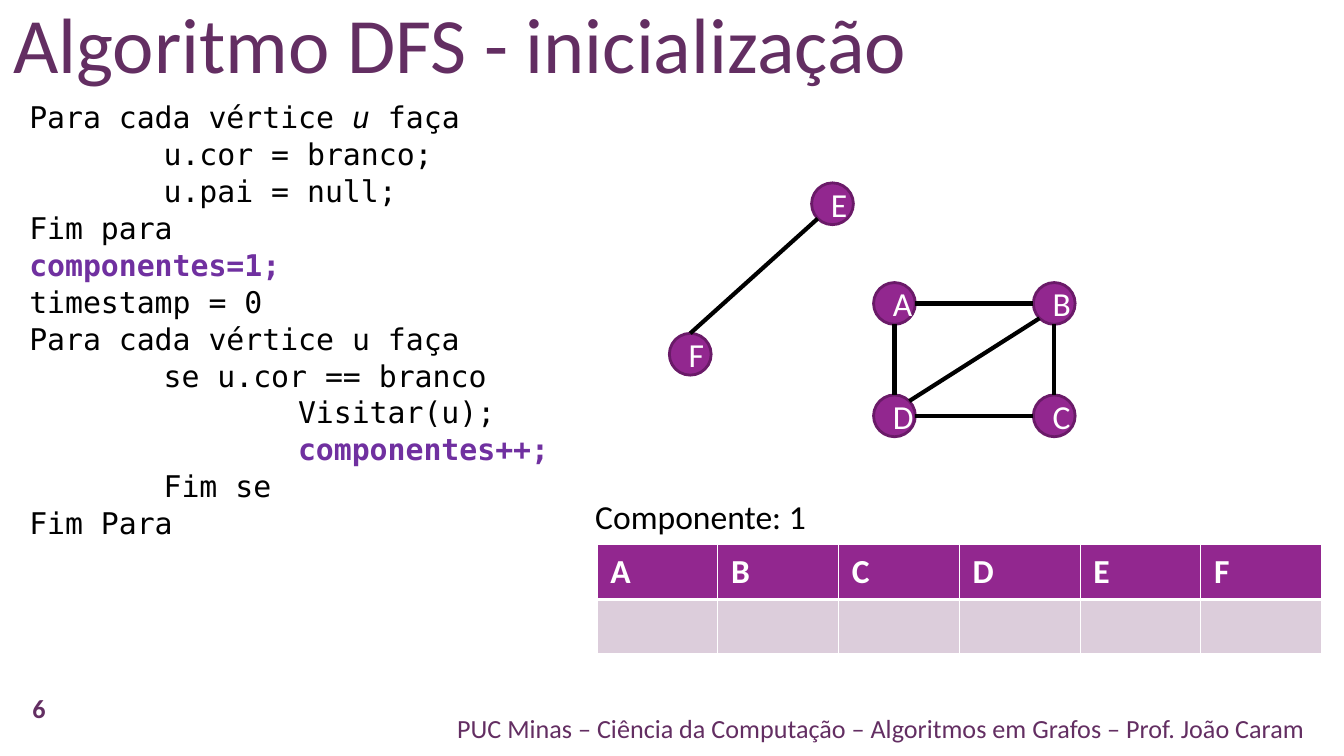
"""Build the slide on the initialisation of the DFS algorithm."""
from lxml.etree import SubElement
from pptx import Presentation
from pptx.dml.color import RGBColor
from pptx.enum.shapes import MSO_CONNECTOR, MSO_SHAPE
from pptx.enum.text import MSO_ANCHOR, PP_ALIGN
from pptx.oxml.ns import qn
from pptx.util import Pt

PURPLE = RGBColor(0x92, 0x27, 0x8F)
DARK_PURPLE = RGBColor(0x6A, 0x1A, 0x68)
PLUM = RGBColor(0x63, 0x2E, 0x62)
VIOLET = RGBColor(0x70, 0x30, 0xA0)
PALE = RGBColor(0xDC, 0xCD, 0xDB)
BLACK = RGBColor(0, 0, 0)
WHITE = RGBColor(255, 255, 255)

TITLE = {"name": "Calibri", "size": Pt(42)}
LABEL = {"name": "Calibri", "size": Pt(18)}
HEADING = {**LABEL, "bold": True}
FOOTER = {"name": "Calibri", "size": Pt(14)}
PAGE = {**FOOTER, "bold": True}
CODE = {"name": "DejaVu Sans Mono", "size": Pt(16)}
CODE_ITALIC = {**CODE, "italic": True}
CODE_BOLD = {**CODE, "bold": True}


def add_run(paragraph, words, style, color):
    run = paragraph.add_run()
    run.text = words
    for attribute, value in style.items():
        setattr(run.font, attribute, value)
    run.font.color.rgb = color


def add_frame(left, top, width, height, anchor=MSO_ANCHOR.TOP):
    box = slide.shapes.add_textbox(Pt(left), Pt(top), Pt(width), Pt(height))
    box.text_frame.word_wrap = True
    box.text_frame.vertical_anchor = anchor
    return box.text_frame


deck = Presentation()
deck.slide_width, deck.slide_height = Pt(720), Pt(405)
slide = deck.slides.add_slide(deck.slide_layouts[6])

footer = add_frame(48.2, 379.4, 658.1, 21.6, MSO_ANCHOR.MIDDLE).paragraphs[0]
footer.alignment = PP_ALIGN.RIGHT
add_run(footer, "PUC Minas – Ciência da Computação – Algoritmos em Grafos – Prof. João Caram",
        FOOTER, PLUM)

page = add_frame(0, 369.4, 41.8, 22.3, MSO_ANCHOR.MIDDLE).paragraphs[0]
page.alignment = PP_ALIGN.CENTER
page.line_spacing = 0.9
add_run(page, "6", PAGE, PLUM)

title = add_frame(0, -30.2, 663.8, 79.2, MSO_ANCHOR.BOTTOM)
title.margin_bottom = Pt(1)
add_run(title.paragraphs[0], "Algoritmo DFS - inicialização", TITLE, PLUM)

code_lines = [
    [("Para cada vértice ", CODE, BLACK), ("u", CODE_ITALIC, BLACK), (" faça", CODE, BLACK)],
    [("\tu.cor = branco;", CODE, BLACK)],
    [("\tu.pai = null;", CODE, BLACK)],
    [("Fim para", CODE, BLACK)],
    [("componentes=1;", CODE_BOLD, VIOLET)],
    [("timestamp = 0", CODE, BLACK)],
    [("Para cada vértice u faça", CODE, BLACK)],
    [("\tse u.cor == branco", CODE, BLACK)],
    [("\t\tVisitar(u);", CODE, BLACK)],
    [("\t\tcomponentes++;", CODE_BOLD, VIOLET)],
    [("\tFim se", CODE, BLACK)],
    [("Fim Para", CODE, BLACK)],
]
pseudocode = add_frame(8.6, 49, 697.7, 257)
for index, pieces in enumerate(code_lines):
    line = pseudocode.add_paragraph() if index else pseudocode.paragraphs[0]
    line.line_spacing = 1.03
    tabs = SubElement(line._p.get_or_add_pPr(), qn("a:tabLst"))
    for stop in (72, 144):
        SubElement(tabs, qn("a:tab"), pos=str(Pt(stop)), algn="l")
    for words, style, color in pieces:
        add_run(line, words, style, color)

RADIUS = 11.2
vertices = {
    "F": (369.8, 189.8), "E": (446, 109.2),
    "A": (479.2, 162.6), "D": (479.2, 222.8),
    "B": (564.8, 162.6), "C": (564.8, 222.8),
}
for name, (x, y) in vertices.items():
    vertex = slide.shapes.add_shape(MSO_SHAPE.OVAL, Pt(x - RADIUS), Pt(y - RADIUS),
                                    Pt(2 * RADIUS), Pt(2 * RADIUS))
    vertex.shadow.inherit = False
    vertex.fill.solid()
    vertex.fill.fore_color.rgb = PURPLE
    vertex.line.color.rgb = DARK_PURPLE
    vertex.line.width = Pt(1.5)
    vertex.text_frame.word_wrap = True
    vertex.text_frame.vertical_anchor = MSO_ANCHOR.MIDDLE
    vertex.text_frame.paragraphs[0].alignment = PP_ALIGN.CENTER
    add_run(vertex.text_frame.paragraphs[0], name, LABEL, WHITE)

LEFT, RIGHT, TOP, BOTTOM = (-1, 0), (1, 0), (0, -1), (0, 1)
LOWER_LEFT, UPPER_RIGHT = (-0.71, 0.71), (0.71, -0.71)
edges = [
    ("B", LEFT, "A", RIGHT), ("C", LEFT, "D", RIGHT),
    ("A", BOTTOM, "D", TOP), ("B", BOTTOM, "C", TOP),
    ("B", LOWER_LEFT, "D", UPPER_RIGHT), ("E", LOWER_LEFT, "F", TOP),
]
for start, start_side, end, end_side in edges:
    ends = [Pt(center + RADIUS * shift)
            for name, side in ((start, start_side), (end, end_side))
            for center, shift in zip(vertices[name], side)]
    edge = slide.shapes.add_connector(MSO_CONNECTOR.STRAIGHT, *ends)
    edge.line.color.rgb = BLACK
    edge.line.width = Pt(2.25)
    SubElement(edge._element.spPr, qn("a:effectLst"))

components = slide.shapes.add_table(2, 6, Pt(319.8), Pt(291.6), Pt(388.2), Pt(58.3)).table
for column in components.columns:
    column.width = Pt(64.7)
for row, height in zip(components.rows, (29.5, 28.8)):
    row.height = Pt(height)
for row_index, fill in enumerate((PURPLE, PALE)):
    thick_side = ("lnB", "lnT")[row_index]
    for column_index, name in enumerate("ABCDEF"):
        cell = components.cell(row_index, column_index)
        for side in ("lnL", "lnR", "lnT", "lnB"):
            width = Pt(1.5 if side == thick_side else 0.45)
            border = SubElement(cell._tc.get_or_add_tcPr(), qn(f"a:{side}"), w=str(width))
            SubElement(SubElement(border, qn("a:solidFill")), qn("a:srgbClr"), val=str(WHITE))
        cell.fill.solid()
        cell.fill.fore_color.rgb = fill
        if row_index == 0:
            add_run(cell.text_frame.paragraphs[0], name, HEADING, WHITE)

counter = add_frame(311.8, 262.1, 146.2, 28.8).paragraphs[0]
add_run(counter, "Componente: 1", LABEL, BLACK)

deck.save("out.pptx")
